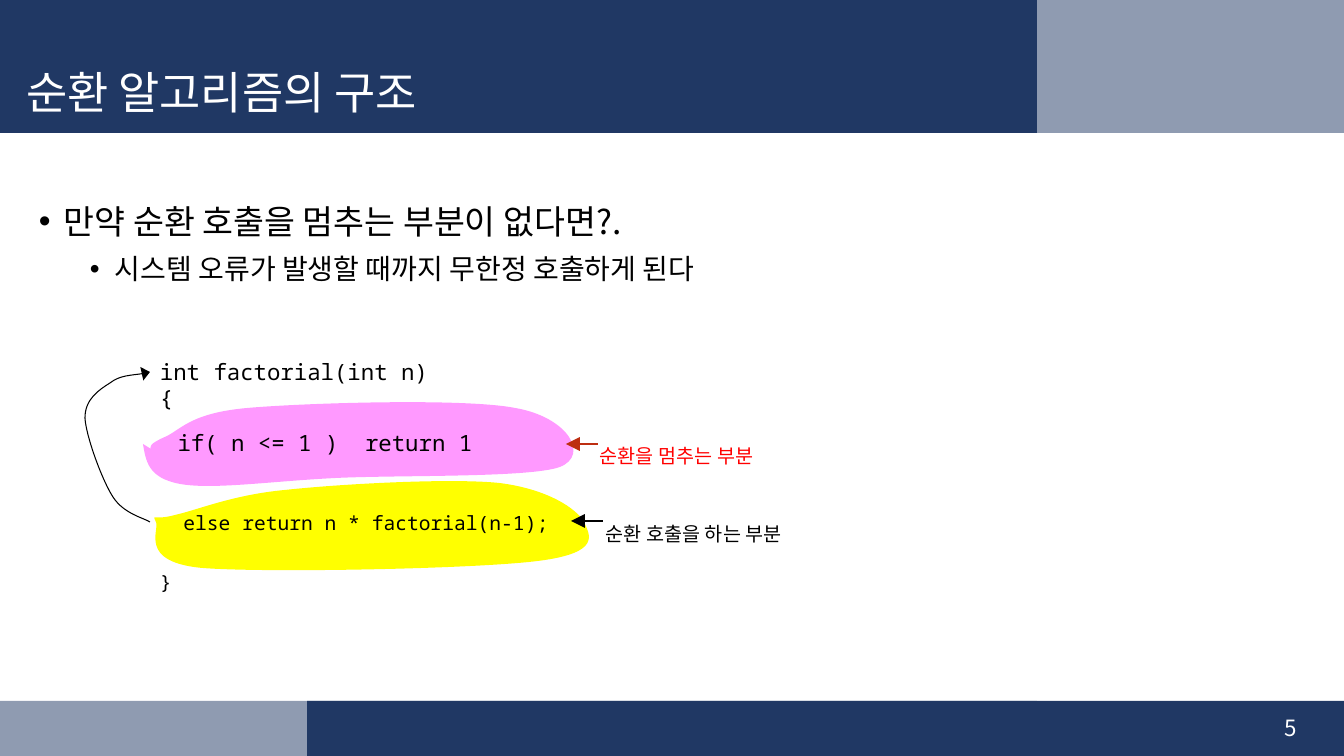
from lxml import etree
from pptx import Presentation, util as u
from pptx.dml.color import RGBColor
from pptx.enum import shapes, text
from pptx.oxml.ns import qn

PX = 914400 / 100.8
WIDTH, HEIGHT = 1344, 756
HEADER, FOOTER = 133, 701
COLORS = {"navy": "203864", "white": "FFFFFF", "black": "000000", "red": "FF0000",
          "rust": "BD2E11", "yellow": "FFFF00", "pink": "FF99FF"}
SANS, MONO = "Noto Sans CJK KR", "Noto Sans Mono"

# Each outline is a start point followed by cubic curves (two controls and an end).
RECURSIVE_BLOB = [
    (156, 522), (152, 513), (154, 521), (175, 515), (198, 510), (232, 495), (285, 490),
    (340, 484), (450, 478), (499, 483), (548, 489), (577, 509), (584, 522),
    (590, 535), (602, 553), (538, 561), (475, 569), (265, 573), (202, 568),
    (138, 562), (160, 530), (156, 522)]
STOP_BLOB = [
    (151, 449), (150, 447), (149, 444), (165, 437), (181, 430), (190, 413), (248, 408),
    (305, 403), (464, 398), (515, 408), (568, 417), (590, 455), (560, 467),
    (530, 478), (400, 475), (337, 478), (273, 481), (213, 490), (180, 484),
    (148, 478), (146, 461), (143, 444)]
CALL_ARROW = [
    (150, 522), (144, 518), (124, 514), (113, 497), (102, 480), (86, 436), (85, 418),
    (85, 399), (99, 390), (110, 383), (120, 375), (141, 375), (150, 372)]


def px(value):
    return u.Emu(round(value * PX))


def rgb(name):
    return RGBColor.from_string(COLORS[name])


def bend(shape):
    """Turn every three straight segments of a freeform into one cubic curve."""
    segments = list(shape.element.iter(qn("a:lnTo")))
    for i in range(0, len(segments), 3):
        curve = etree.Element(qn("a:cubicBezTo"))
        segments[i].addprevious(curve)
        for segment in segments[i:i + 3]:
            curve.append(segment[0])
            segment.getparent().remove(segment)


def write(para, words, size=14, color="black", font=SANS, align=None,
          spacing=None, before=None, bullet_left=None):
    """Put one formatted span into a paragraph; bullet_left is in px."""
    if bullet_left is not None:
        props = para._p.get_or_add_pPr()
        props.set("marL", str(px(bullet_left)))
        props.set("indent", str(px(-25)))
        etree.SubElement(props, qn("a:buFont")).set("typeface", "Arial")
        etree.SubElement(props, qn("a:buChar")).set("char", "•")
    if align is not None:
        para.alignment = align
    if spacing is not None:
        para.line_spacing = spacing
    if before is not None:
        para.space_before = u.Pt(before)
    span = para.add_run()
    span.text = words
    span.font.size = u.Pt(size)
    span.font.name = font
    span.font.color.rgb = rgb(color)


class SlideBuilder:
    def __init__(self, deck):
        self.page = deck.slides.add_slide(deck.slide_layouts[5])

    def band(self, left, top, width, height, opacity=100):
        box = self.page.shapes.add_shape(shapes.MSO_SHAPE.RECTANGLE,
                                         *map(px, (left, top, width, height)))
        box.shadow.inherit = False
        box.line.fill.background()
        box.fill.solid()
        box.fill.fore_color.rgb = rgb("navy")
        if opacity < 100:
            color = box.element.spPr.find(qn("a:solidFill"))[0]
            etree.SubElement(color, qn("a:alpha")).set("val", str(opacity * 1000))

    def title(self, words, left, top, width, height):
        box = self.page.shapes.title
        box.left, box.top, box.width, box.height = map(px, (left, top, width, height))
        box.text_frame.vertical_anchor = text.MSO_ANCHOR.MIDDLE
        write(box.text_frame.paragraphs[0], words, size=32, color="white",
              align=text.PP_ALIGN.LEFT, spacing=0.9)
        box.element.getparent().append(box.element)  # in front of the bands

    def text(self, lines, left, top, width, height, middle=True, wrap=True, **style):
        """Add a box; each line is its words and the format that is its own."""
        box = self.page.shapes.add_textbox(*map(px, (left, top, width, height)))
        frame = box.text_frame
        frame.word_wrap = wrap
        if not wrap:
            frame.auto_size = text.MSO_AUTO_SIZE.SHAPE_TO_FIT_TEXT
        frame.vertical_anchor = text.MSO_ANCHOR.MIDDLE if middle else text.MSO_ANCHOR.TOP
        for i, (words, own) in enumerate(lines):
            para = frame.add_paragraph() if i else frame.paragraphs[0]
            write(para, words, **{**style, **own})
        return frame

    def outline(self, points, fill=None):
        """Add a filled blob, or an open curve with an arrowhead if fill is None."""
        start, *rest = [(px(x), px(y)) for x, y in points]
        builder = self.page.shapes.build_freeform(*start)
        builder.add_line_segments(rest, close=False)
        curve = builder.convert_to_shape()
        bend(curve)
        curve.shadow.inherit = False
        if fill:
            curve.fill.solid()
            curve.fill.fore_color.rgb = rgb(fill)
            curve.line.fill.background()
        else:
            curve.fill.background()
            self.arrowhead(curve, "black", length="med")

    def arrow(self, start, end, y, color):
        line = self.page.shapes.add_connector(shapes.MSO_CONNECTOR.STRAIGHT,
                                              px(start), px(y), px(end), px(y))
        self.arrowhead(line, color)
        etree.SubElement(line.element.spPr, qn("a:effectLst"))

    def arrowhead(self, shape, color, length="lg"):
        shape.line.color.rgb = rgb(color)
        shape.line.width = u.Pt(0.75)
        ln = shape.element.spPr.find(qn("a:ln"))
        etree.SubElement(ln, qn("a:tailEnd"), type="triangle", w="lg", len=length)


def main():
    deck = Presentation()
    deck.slide_width, deck.slide_height = px(WIDTH), px(HEIGHT)
    slide = SlideBuilder(deck)

    slide.band(307, FOOTER, WIDTH - 307, HEIGHT - FOOTER)
    slide.band(0, FOOTER, 1037, HEIGHT - FOOTER, opacity=50)
    slide.band(0, 0, 1037, HEADER)
    slide.band(1037, 0, WIDTH - 1037, HEADER, opacity=50)
    slide.text([("5", {})], 1005, 708, 302, 40, size=16, color="white",
               align=text.PP_ALIGN.RIGHT)
    slide.title("순환 알고리즘의 구조", 16, 57, 1021, 75)
    slide.text([("만약 순환 호출을 멈추는 부분이 없다면?.", {"size": 24, "bullet_left": 25}),
                ("시스템 오류가 발생할 때까지 무한정 호출하게 된다",
                 {"size": 20, "bullet_left": 76, "before": 5})],
               29, 192, 1270, 465, middle=False, spacing=1.1)

    slide.outline(RECURSIVE_BLOB, "yellow")
    slide.outline(STOP_BLOB, "pink")
    slide.text([("  else return n * factorial(n-1);", {})], 150, 489, 453, 67, font=MONO)
    slide.text([("int factorial(int n)", {}), ("{", {})], 150, 345, 325, 79,
               font=MONO, size=16)
    slide.text([("}", {})], 150, 561, 30, 41, font=MONO)
    condition = slide.text([("  ", {})], 144, 410, 453, 66, font=MONO)
    write(condition.paragraphs[0], "if( n <= 1 )  return 1", size=16, font=MONO)

    slide.text([("순환을 멈추는 부분", {})], 590, 439, 192, 32,
               middle=False, wrap=False, color="red")
    slide.text([("순환 호출을 하는 부분", {})], 596, 517, 218, 33,
               middle=False, wrap=False)
    slide.arrow(603, 571, 521, "black")
    slide.arrow(598, 566, 444, "rust")
    slide.outline(CALL_ARROW)

    deck.save("out.pptx")


if __name__ == "__main__":
    main()
